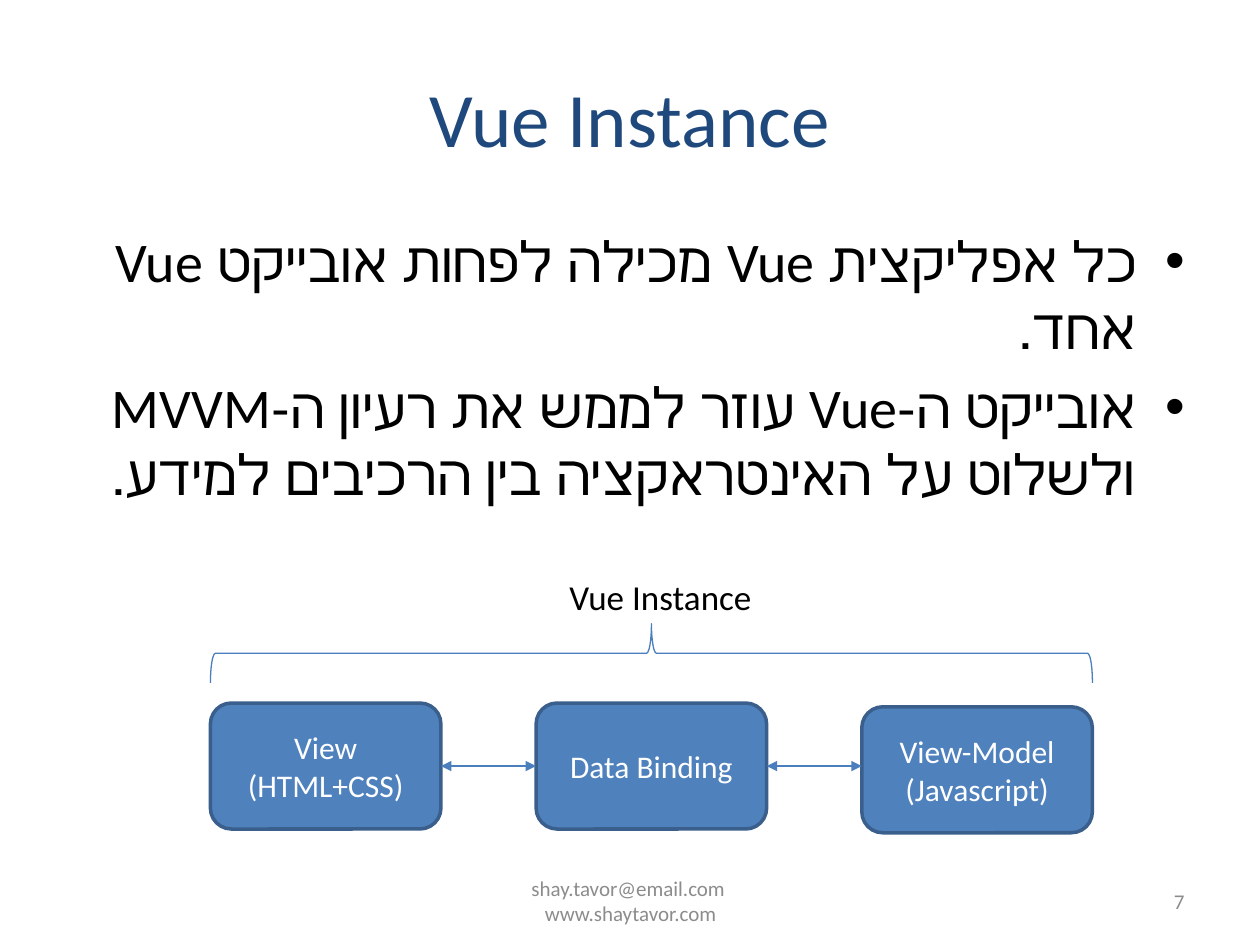
from dataclasses import dataclass
from lxml import etree
from pptx import Presentation
from pptx import util as u
from pptx.dml.color import RGBColor
from pptx.enum import shapes, text
from pptx.oxml.ns import qn

WIDE, HIGH = 10, 7.5
LEFT, MID, RIGHT = text.PP_ALIGN.LEFT, text.PP_ALIGN.CENTER, text.PP_ALIGN.RIGHT
TOP, CORE = text.MSO_ANCHOR.TOP, text.MSO_ANCHOR.MIDDLE


@dataclass(frozen=True)
class Theme:
    font: str = "Calibri"
    navy: str = "1F497D"
    ink: str = "000000"
    gray: str = "8C8C8C"
    blue: str = "4F81BD"
    edge: str = "3A5F8C"
    wire: str = "4B7EBC"
    white: str = "FFFFFF"
    head: int = 44
    body: int = 32
    label: int = 20
    node: int = 18
    foot: int = 12


T = Theme()


def color(code):
    return RGBColor.from_string(code)


def inch(*nums):
    return [u.Inches(n) for n in nums]


def write(shape, lines, size, ink, align=MID, anchor=CORE, before=0, bullet=None):
    """Fill a shape with paragraphs; a bullet makes a right-to-left list."""
    frame = shape.text_frame
    frame.word_wrap = True
    frame.vertical_anchor = anchor
    for i, line in enumerate(lines):
        para = frame.paragraphs[0] if i == 0 else frame.add_paragraph()
        para.alignment = align
        para.space_before = u.Pt(before)
        run = para.add_run()
        run.text = line
        run.font.name, run.font.size = T.font, u.Pt(size)
        run.font.color.rgb = color(ink)
        if bullet:
            props = para._p.get_or_add_pPr()
            hang = u.Inches(0.38)
            for key, val in (("marL", hang), ("indent", -hang), ("rtl", 1)):
                props.set(key, str(val))
            etree.SubElement(props, qn("a:buFont")).set("typeface", "Arial")
            etree.SubElement(props, qn("a:buChar")).set("char", bullet)


def label(slide, box, lines, size, ink, **kw):
    shape = slide.shapes.add_textbox(*inch(*box))
    write(shape, lines, size, ink, **kw)
    return shape


def node(slide, box, lines):
    """Rounded box with centred text."""
    shape = slide.shapes.add_shape(shapes.MSO_SHAPE.ROUNDED_RECTANGLE, *inch(*box))
    shape.shadow.inherit = False
    shape.fill.solid()
    shape.fill.fore_color.rgb = color(T.blue)
    shape.line.color.rgb = color(T.edge)
    shape.line.width = u.Pt(2)
    write(shape, lines, T.node, T.white)


def arrow(slide, x, y, end):
    """Level line with a head at both ends."""
    line = slide.shapes.add_connector(shapes.MSO_CONNECTOR.STRAIGHT, *inch(x, y, end, y))
    line.line.color.rgb = color(T.wire)
    line.line.width = u.Pt(0.75)
    pen = line.line._get_or_add_ln()
    for tag in ("a:headEnd", "a:tailEnd"):
        etree.SubElement(pen, qn(tag)).set("type", "triangle")
    etree.SubElement(line._element.spPr, qn("a:effectLst"))


def brace(slide, box):
    """Left brace turned upright so that it spans the given box."""
    x, y, w, h = box
    turned = (x + (w - h) / 2, y + (h - w) / 2, h, w)
    shape = slide.shapes.add_shape(shapes.MSO_SHAPE.LEFT_BRACE, *inch(*turned))
    shape.rotation = 90
    shape.shadow.inherit = False
    shape.fill.background()
    shape.line.color.rgb = color(T.wire)
    shape.line.width = u.Pt(0.75)


def diagram(slide, box, names):
    x, y, w, h = box
    wide, high = 1.83, 1
    step = (w - wide) / (len(names) - 1)
    top = y + h - high

    # Boxes, the last one set slightly lower
    for i, lines in enumerate(names):
        drop = 0.03 if i == len(names) - 1 else 0
        node(slide, (x + i * step, top + drop, wide, high), lines)

    # Arrows across the gaps
    for i in range(len(names) - 1):
        arrow(slide, x + i * step + wide, top + high / 2, x + (i + 1) * step)

    # Brace and its caption
    brace(slide, (x, y + 0.43, w, 0.47))
    label(slide, (x + 2.75, y, wide, 0.44), ["Vue Instance"], T.label, T.ink,
          align=LEFT, anchor=TOP)


def footer(slide, box):
    x, y, w, h = box
    label(slide, (x + 2.92, y, 3.17, h), ["shay.tavor@email.com ", "www.shaytavor.com"],
          T.foot, T.gray)
    label(slide, (x + w - 2.33, y, 2.33, h), ["7"], T.foot, T.gray, align=RIGHT)


def main():
    deck = Presentation()
    deck.slide_width, deck.slide_height = inch(WIDE, HIGH)
    slide = deck.slides.add_slide(deck.slide_layouts[6])
    edge = WIDE * 0.05
    span = WIDE - 2 * edge

    # Title and list
    label(slide, (edge, HIGH * 0.04, span, 1.25), ["Vue Instance"], T.head, T.navy)
    label(slide, (edge, 1.75, span, 2.67), [
        "כל אפליקצית Vue מכילה לפחות אובייקט Vue אחד.",
        "אובייקט ה-Vue עוזר לממש את רעיון ה-MVVM ולשלוט על האינטראקציה בין הרכיבים למידע.",
    ], T.body, T.ink, align=RIGHT, anchor=TOP, before=T.body * 0.2, bullet="•")

    footer(slide, (edge, 6.95, span, 0.4))
    diagram(slide, (1.67, 4.52, 7, 2.06), [
        ["View", "(HTML+CSS)"],
        ["Data Binding"],
        ["View-Model", "(Javascript)"],
    ])
    deck.save("out.pptx")


if __name__ == "__main__":
    main()
